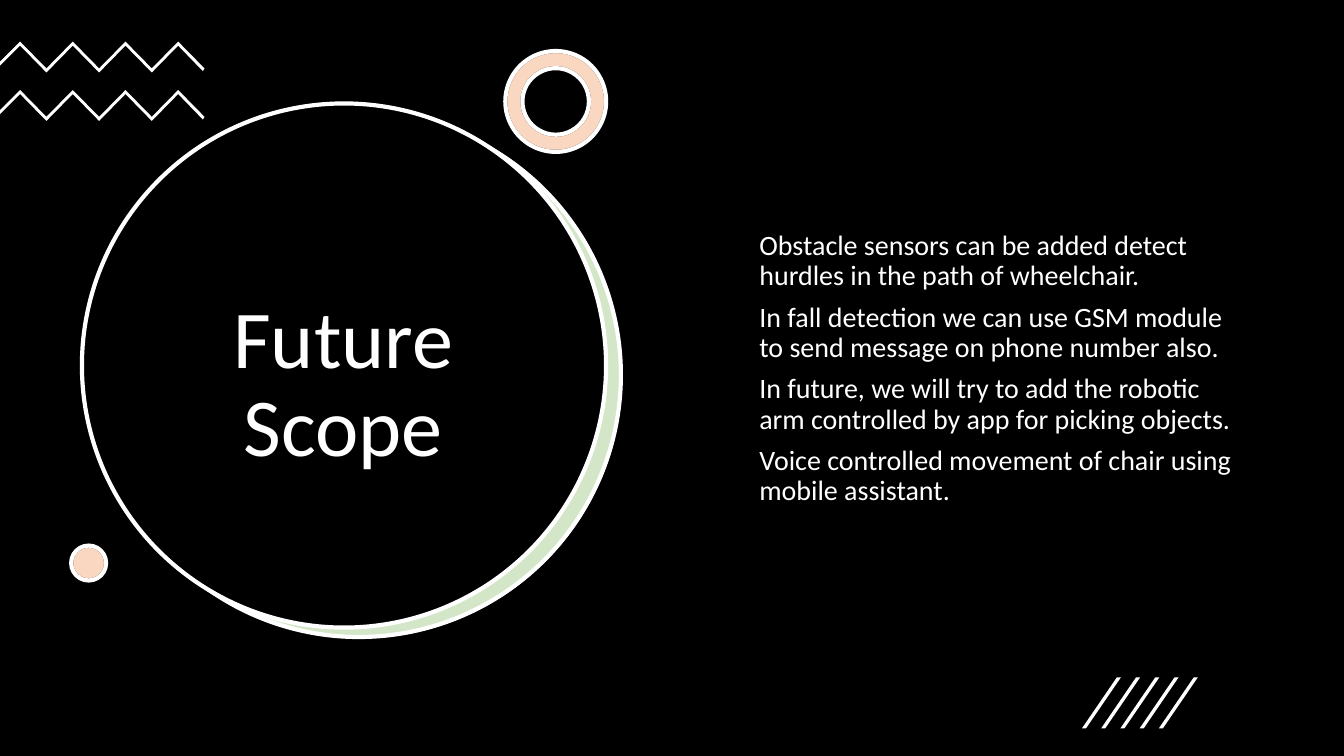
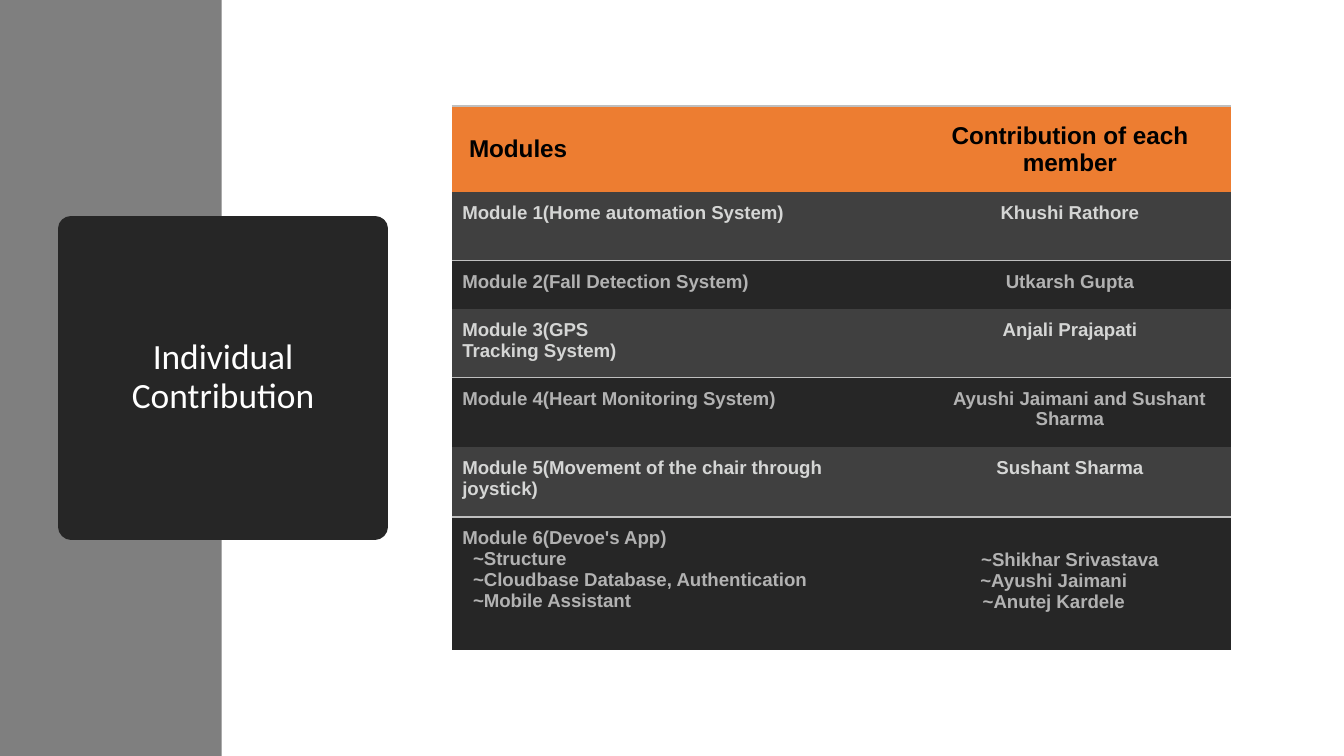
from dataclasses import dataclass
from lxml.etree import SubElement
from pptx import Presentation
from pptx.dml.color import RGBColor
from pptx.enum.shapes import MSO_SHAPE as Preset
from pptx.enum.text import MSO_ANCHOR as Anchor, MSO_AUTO_SIZE as AutoSize, PP_ALIGN as Align
from pptx.oxml import parse_xml
from pptx.oxml.ns import nsdecls, qn
from pptx.util import Inches, Pt


@dataclass(frozen=True)
class Theme:
    white: str = "FFFFFF"
    black: str = "000000"
    green: str = "70AD47"
    orange: str = "ED7D31"
    gray: str = "7F7F7F"
    charcoal: str = "262626"
    slate: str = "404040"
    rule: str = "BFBFBF"
    light_text: str = "D5D6D5"
    dim_text: str = "B2B2B2"
    heading_font: str = "Calibri"
    table_font: str = "Arial"
    hero_size: float = 44
    title_size: float = 19
    body_size: float = 15
    header_size: float = 13
    cell_size: float = 10
    outline: float = 2.25
    frame: float = 13.75


theme = Theme()
NO_STYLE_NO_GRID = "{2D5ABB26-0587-4C30-8999-92F81FD0307C}"


def draw(page, preset, box, fill, line=None, alpha=None):
    """Add a filled preset shape; alpha is its opacity in percent."""
    shape = page.shapes.add_shape(preset, *map(Inches, box))
    shape.shadow.inherit = False
    shape.fill.solid()
    shape.fill.fore_color.rgb = RGBColor.from_string(fill)
    if alpha:
        color = shape.fill._xPr.find(".//" + qn("a:srgbClr"))
        SubElement(color, qn("a:alpha")).set("val", str(alpha * 1000))
    if line:
        shape.line.color.rgb = RGBColor.from_string(line)
        shape.line.width = Pt(theme.outline)
    else:
        shape.line.fill.background()
    return shape


def write(frame, lines, size, color, font=theme.heading_font, bold=False, align=Align.LEFT,
          spacing=None, after=0, bullet=None, indents=None):
    """Fill a text frame; indents maps a line to its paragraph margins in inches."""
    for index, text in enumerate(lines):
        para = frame.paragraphs[0] if index == 0 else frame.add_paragraph()
        para.alignment = align
        para.line_spacing = spacing
        para.space_before, para.space_after = Pt(0), Pt(after)
        props = para._p.get_or_add_pPr()
        for name, length in (indents or {}).get(text, {}).items():
            props.set(name, str(Inches(length)))
        if bullet:
            bullet_color = SubElement(props, qn("a:buClr"))
            SubElement(bullet_color, qn("a:srgbClr")).set("val", bullet)
            SubElement(props, qn("a:buChar")).set("char", "•")
        span = para.add_run()
        span.text = text
        span.font.name, span.font.size, span.font.bold = font, Pt(size), bold
        span.font.color.rgb = RGBColor.from_string(color)


deck = Presentation()
deck.slide_width = Inches(10)
deck.slide_height = deck.slide_width * 9 // 16

# Both pages: a full-height backdrop with the title placeholder centred in its box
pages = []
for layout, width, color, title_text, title_size, title_box in [
    (1, 10, theme.black, "Future Scope", theme.hero_size, (0.9, 1.55, 3.31, 2.64)),
    (5, 1.65, theme.gray, "Individual Contribution", theme.title_size, (0.53, 1.7, 2.26, 2.22)),
]:
    page = deck.slides.add_slide(deck.slide_layouts[layout])
    draw(page, Preset.RECTANGLE, (0, 0, width, deck.slide_height.inches), color)
    title = page.shapes.title
    title.left, title.top, title.width, title.height = map(Inches, title_box)
    title.text_frame.word_wrap = True
    title.text_frame.auto_size = AutoSize.NONE
    title.text_frame.vertical_anchor = Anchor.MIDDLE
    write(title.text_frame, [title_text], title_size, theme.white, align=Align.CENTER, spacing=0.9)
    pages.append(page)
scope, contribution = pages

# Future scope: large circle with a crescent edge
draw(scope, Preset.OVAL, (0.73, 0.85, 3.9, 3.9), theme.white)
draw(scope, Preset.OVAL, (0.72, 0.84, 3.9, 3.9), theme.green, theme.white, 30)
draw(scope, Preset.OVAL, (0.61, 0.77, 3.9, 3.9), theme.black, theme.white)

ideas = [
    "Obstacle sensors can be added detect hurdles in the path of wheelchair.",
    "In fall detection we can use GSM module to send message on phone number also.",
    "In future, we will try to add the robotic arm controlled by app for picking objects.",
    "Voice controlled movement of chair using mobile assistant.",
]
body = scope.placeholders[1]
body.left, body.top, body.width, body.height = map(Inches, (5.05, 1.67, 4.28, 3.57))
body.text_frame.word_wrap = True
body.text_frame.auto_size = AutoSize.NONE
body.text_frame.vertical_anchor = Anchor.TOP
write(body.text_frame, ideas, theme.body_size, theme.white, spacing=0.9, after=6,
      bullet=theme.black, indents={idea: {"marL": 0.5, "indent": -0.25} for idea in ideas})

# Placeholders come first in the stack: lift them above the shapes drawn so far
for page in pages:
    for holder in list(page.placeholders):
        holder.element.getparent().append(holder.element)

# Zigzags at the top left, slashes at the bottom right
peaks = [(0.15 + 0.196 * step, 0.2 * (step % 2)) for step in range(8)]
under = [(x, y + 0.03) for x, y in peaks[-2::-1]]
zigzag = peaks + [(1.51, 0.22)] + under + [(0, 0.18), (0, 0.15)]
slash = [(0.03, 0.38), (0, 0.38), (0.26, 0), (0.29, 0)]
for outline, origins in [
    (zigzag, [(0, 0.31), (0, 0.67)]),
    (slash, [(8.05 + 0.143 * step, 5.04) for step in range(5)]),
]:
    group = scope.shapes.add_group_shape()
    for left, top in origins:
        points = [(Inches(left + x), Inches(top + y)) for x, y in outline]
        builder = group.shapes.build_freeform(*points[0])
        builder.add_line_segments(points[1:], close=True)
        mark = builder.convert_to_shape()
        mark.shadow.inherit = False
        mark.fill.solid()
        mark.fill.fore_color.rgb = RGBColor.from_string(theme.white)
        mark.line.fill.background()

# Ring and dot: a white base under a tinted layer
for preset, box in [(Preset.DONUT, (3.76, 0.38, 0.75, 0.75)), (Preset.OVAL, (0.53, 4.06, 0.26, 0.26))]:
    for fill, line, alpha in [(theme.white, theme.black, None), (theme.orange, theme.white, 30)]:
        shape = draw(scope, preset, box, fill, line, alpha)
        if preset == Preset.DONUT:
            shape.adjustments[0] = 0.17

# Individual contribution: dark title card and table of modules
card = contribution.shapes.title
card.fill.solid()
card.fill.fore_color.rgb = RGBColor.from_string(theme.charcoal)
card.line.color.rgb = RGBColor.from_string(theme.charcoal)
card.line.width = Pt(theme.frame)

modules = [
    (["Modules"], ["Contribution of each member"]),
    (["Module 1(Home automation System)"], ["Khushi Rathore"]),
    (["Module 2(Fall Detection System)"], ["Utkarsh Gupta"]),
    (["Module 3(GPS", "Tracking System)"], ["Anjali Prajapati"]),
    (["Module 4(Heart Monitoring System)"], ["Ayushi Jaimani and Sushant Sharma"]),
    (["Module 5(Movement of the chair through joystick)"], ["Sushant Sharma"]),
    (["Module 6(Devoe's App)", "~Structure", "~Cloudbase Database, Authentication", "~Mobile Assistant"],
     ["~Shikhar Srivastava", "~Ayushi Jaimani", "~Anutej Kardele"]),
]
cell_indents = {
    "Modules": {"marL": 0.05},
    "Ayushi Jaimani and Sushant Sharma": {"indent": 0.14},
    "~Ayushi Jaimani": {"marR": 0.24},
    "~Anutej Kardele": {"marR": 0.24},
    **{line: {"marL": 0.08} for line in modules[-1][0][1:]},
}
table = contribution.shapes.add_table(7, 2, *map(Inches, (3.36, 0.79, 5.8, 4.05))).table
table._tbl.tblPr.find(qn("a:tableStyleId")).text = NO_STYLE_NO_GRID
table.first_row = table.horz_banding = False
for column, width in zip(table.columns, (3.4, 2.4)):
    column.width = Inches(width)
for row, height in zip(table.rows, (0.64, 0.51, 0.36, 0.51, 0.52, 0.52, 0.99)):
    row.height = Inches(height)

for row, entries in enumerate(modules):
    header, odd = row == 0, row % 2 == 1
    if header:
        fill, color, size = theme.orange, theme.black, theme.header_size
    else:
        fill, color = (theme.slate, theme.light_text) if odd else (theme.charcoal, theme.dim_text)
        size = theme.cell_size
    for column, lines in enumerate(entries):
        cell = table.cell(row, column)
        cell.margin_left = cell.margin_right = cell.margin_top = cell.margin_bottom = Inches(0.08)
        cell.fill.solid()
        cell.fill.fore_color.rgb = RGBColor.from_string(fill)
        write(cell.text_frame, lines, size, color, theme.table_font, True,
              Align.CENTER if column else Align.LEFT, indents=cell_indents)
        cell.vertical_anchor = Anchor.MIDDLE if header else Anchor.TOP
        if header or odd:
            side = "lnT" if header else "lnB"
            cell._tc.get_or_add_tcPr().insert(0, parse_xml(
                f'<a:{side} {nsdecls("a")} w="{Pt(1)}"><a:solidFill>'
                f'<a:srgbClr val="{theme.rule}"/></a:solidFill></a:{side}>'))
table.cell(6, 1).margin_top = Inches(0.24)

deck.save("out.pptx")
